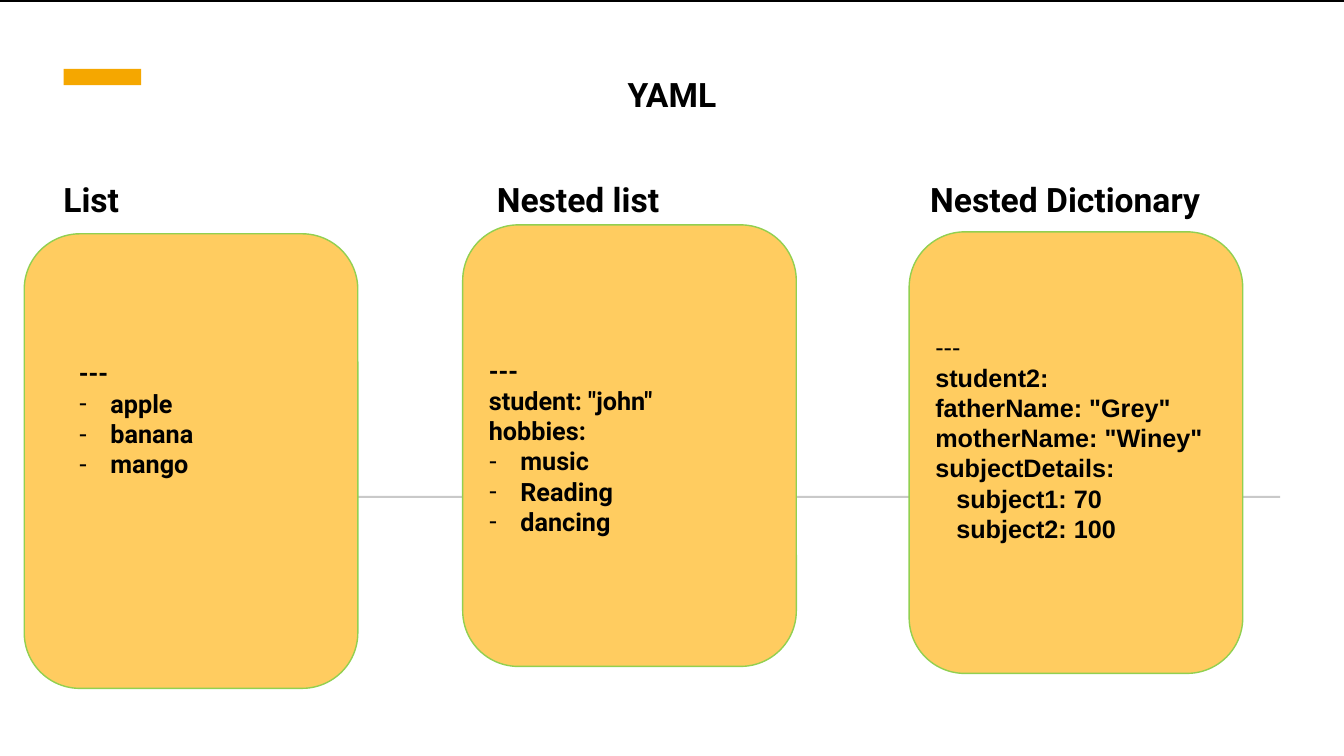
"""Build a slide that shows three YAML examples on cards."""
import pptx
import pptx.dml.color
import pptx.enum.shapes
import pptx.enum.text
import pptx.oxml.ns
import pptx.util
from lxml import etree

Pt = pptx.util.Pt
RGBColor = pptx.dml.color.RGBColor
MSO_SHAPE = pptx.enum.shapes.MSO_SHAPE
MSO_ANCHOR = pptx.enum.text.MSO_ANCHOR
PP_ALIGN = pptx.enum.text.PP_ALIGN
qn = pptx.oxml.ns.qn

BLACK = RGBColor(0x00, 0x00, 0x00)
ORANGE = RGBColor(0xF5, 0xA7, 0x00)
CARD_FILL = RGBColor(0xFF, 0xCC, 0x60)
CARD_LINE = RGBColor(0x92, 0xD0, 0x50)
GREY = RGBColor(0xC9, 0xC9, 0xC9)


def write_text(shape, text, size=18, font="Roboto", bold=True, plain_lines=(),
               align=PP_ALIGN.LEFT, anchor=MSO_ANCHOR.TOP, wrap=True):
    """Write one paragraph a line; lines that start with "- " become bullets."""
    frame = shape.text_frame
    frame.word_wrap = wrap
    frame.vertical_anchor = anchor
    for index, line in enumerate(text.split("\n")):
        paragraph = frame.paragraphs[0] if index == 0 else frame.add_paragraph()
        paragraph.alignment = align
        if line.startswith("- "):
            properties = paragraph._p.get_or_add_pPr()
            properties.set("marL", str(Pt(22.5)))
            properties.set("indent", str(Pt(-22.5)))
            etree.SubElement(properties, qn("a:buFont")).set("typeface", "Arial")
            etree.SubElement(properties, qn("a:buChar")).set("char", "-")
        run = paragraph.add_run()
        run.text = line.removeprefix("- ")
        run.font.name = font
        run.font.size = Pt(size)
        run.font.bold = bold and line not in plain_lines
        run.font.color.rgb = BLACK


def add_block(kind, left, top, width, height, fill, line=None, line_width=1):
    """Add a filled preset shape without a shadow."""
    shape = slide.shapes.add_shape(kind, Pt(left), Pt(top), Pt(width), Pt(height))
    shape.shadow.inherit = False
    shape.fill.solid()
    shape.fill.fore_color.rgb = fill
    if line is None:
        shape.line.fill.background()
    else:
        shape.line.color.rgb = line
        shape.line.width = Pt(line_width)
    return shape


presentation = pptx.Presentation()
presentation.slide_width = Pt(960)
presentation.slide_height = Pt(540)
slide = presentation.slides.add_slide(presentation.slide_layouts[5])

title = slide.shapes.title
title.left, title.top, title.width, title.height = Pt(240), Pt(49), Pt(480), Pt(36)
write_text(title, "YAML", size=24, align=PP_ALIGN.CENTER)

add_block(MSO_SHAPE.RECTANGLE, 45.5, 49.3, 55.4, 11.5, ORANGE)
add_block(MSO_SHAPE.RECTANGLE, 45.5, 354.2, 869, 1.4, GREY)
add_block(MSO_SHAPE.RECTANGLE, 0, 0, 960, 1.4, BLACK, line=BLACK, line_width=0.75)

cards = []
for left, top, height in [(17.3, 167, 324.7), (330.5, 160.6, 315.4), (649.4, 165.6, 315.4)]:
    cards.append(add_block(MSO_SHAPE.ROUNDED_RECTANGLE, left, top, 238.3, height,
                           CARD_FILL, line=CARD_LINE))
list_card, nested_list_card, dictionary_card = cards

for column, (heading, width) in enumerate(
        [("List", 139), ("Nested list", 139), ("Nested Dictionary", 227.5)]):
    heading_box = slide.shapes.add_textbox(
        Pt(38.2 + 309.6 * column), Pt(124.6), Pt(width), Pt(36))
    write_text(heading_box, heading, size=24)

list_box = slide.shapes.add_textbox(Pt(49.3), Pt(252), Pt(107.3), Pt(95))
write_text(list_box, "---\n- apple\n- banana\n- mango", wrap=False)

write_text(nested_list_card,
           '---\nstudent: "john"\nhobbies:\n- music\n- Reading\n- dancing',
           anchor=MSO_ANCHOR.MIDDLE)

dictionary_card.text_frame.margin_bottom = Pt(25.2)
write_text(dictionary_card,
           '---\nstudent2:\nfatherName: "Grey"\nmotherName: "Winey"\n'
           'subjectDetails:\n   subject1: 70\n   subject2: 100',
           font="Arial", plain_lines=("---",), anchor=MSO_ANCHOR.MIDDLE)

presentation.save("out.pptx")
